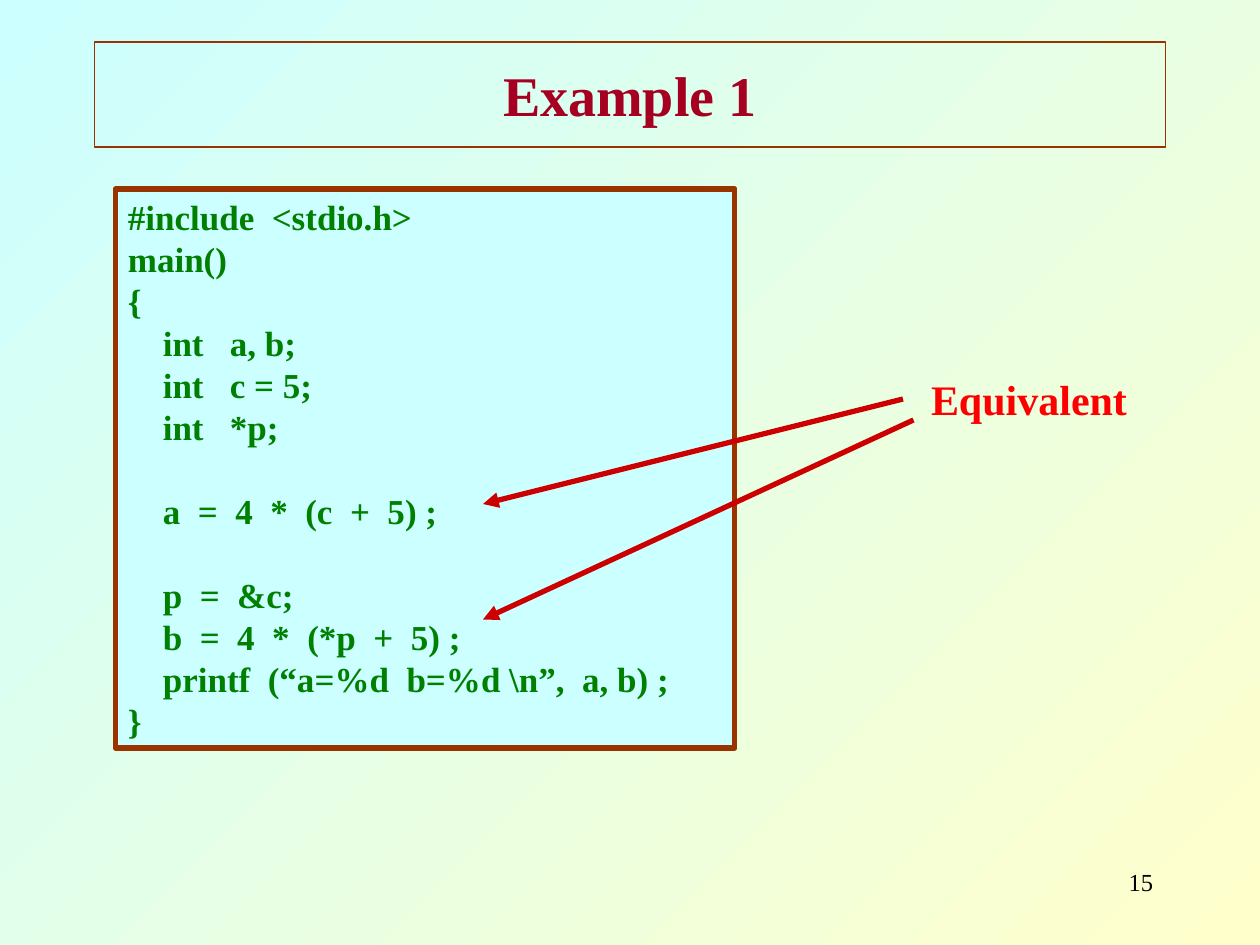
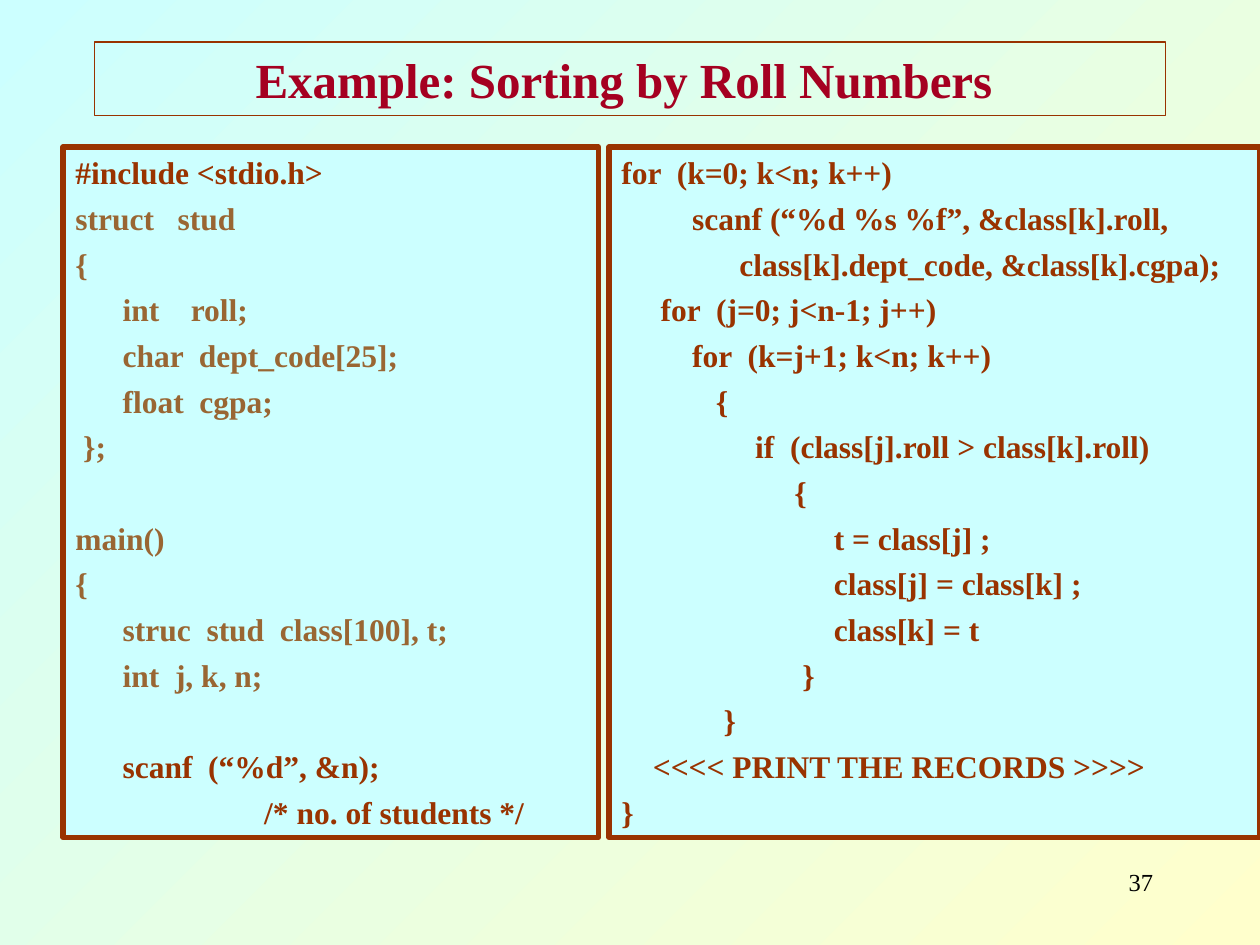
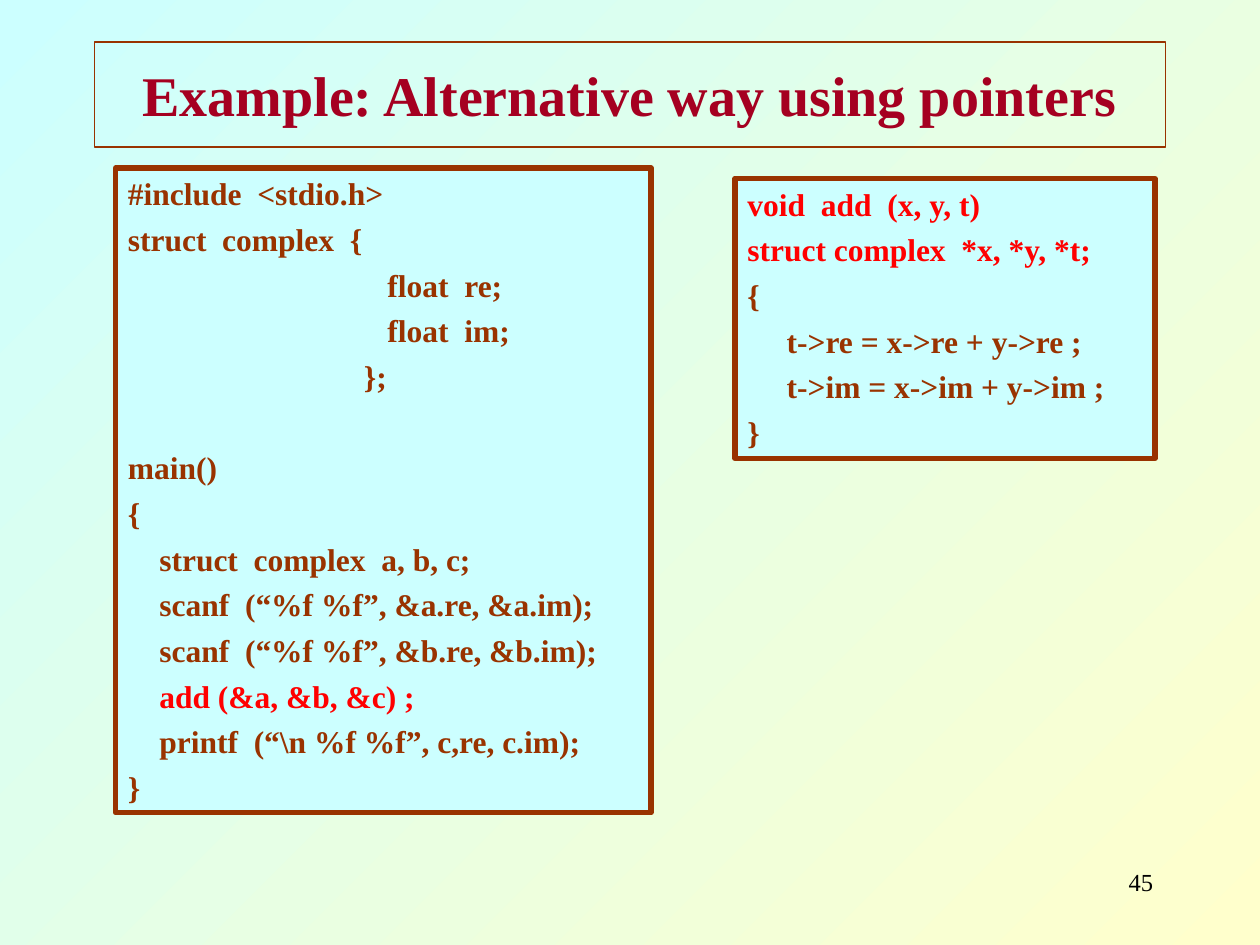
from pptx import Presentation
from pptx.dml.color import RGBColor
from pptx.enum.shapes import MSO_CONNECTOR, MSO_SHAPE
from pptx.enum.text import MSO_ANCHOR, MSO_AUTO_SIZE, PP_ALIGN
from pptx.oxml.ns import qn
from pptx.util import Pt
from lxml.etree import SubElement

FONT = "Times New Roman"
MAROON, BROWN, TAN = "A50021", "993300", "996633"
GREEN, RED, DARK_RED, BLACK = "008000", "FF0000", "CC0000", "000000"
AQUA, CREAM = "CCFFFF", "FFFFCC"
LINE_HEIGHT = 1.2

POINTER_CODE = r"""#include  <stdio.h>
main()
{
    int   a, b;
    int   c = 5;
    int   *p;

    a  =  4  *  (c  +  5) ;

    p  =  &c;
    b  =  4  *  (*p  +  5) ;
    printf  (“a=%d  b=%d \n”,  a, b) ;
}"""

STUDENT_CODE = """struct   stud
{
      int    roll;
      char  dept_code[25];
      float  cgpa;
 };

main()
{
      struc  stud  class[100], t;
      int  j, k, n;
"""

READ_COUNT_CODE = """      scanf  (“%d”, &n);
                        /* no. of students */"""

SORT_CODE = """for  (k=0; k<n; k++)
         scanf (“%d %s %f”, &class[k].roll,
               class[k].dept_code, &class[k].cgpa);
     for  (j=0; j<n-1; j++)
         for  (k=j+1; k<n; k++)
            {
                 if  (class[j].roll > class[k].roll)
                      {
                           t = class[j] ;
                           class[j] = class[k] ;
                           class[k] = t
                       }
             }
    <<<< PRINT THE RECORDS >>>>
}"""

COMPLEX_CODE = """#include  <stdio.h>
struct  complex  {
                                 float  re;
                                 float  im;
                              };

main()
{
    struct  complex  a, b, c;
    scanf  (“%f %f”, &a.re, &a.im);
    scanf  (“%f %f”, &b.re, &b.im);"""

PRINT_CODE = r"""    printf  (“\n %f %f”, c,re, c.im);
}"""

ADD_HEADER = """void  add  (x, y, t)
struct complex  *x, *y, *t;"""

ADD_BODY = """{
     t->re = x->re + y->re ;
     t->im = x->im + y->im ;
}"""


def rgb(color):
    return RGBColor.from_string(color)


def write(p, text, size=18, color=BROWN, bold=True, align=PP_ALIGN.LEFT, before=0):
    p.alignment = align
    p.space_before = Pt(before)
    r = p.add_run()
    r.text = text
    r.font.name, r.font.size, r.font.bold = FONT, Pt(size), bold
    r.font.color.rgb = rgb(color)


def add_frame(s, box, line_width, fill=None):
    """Add a brown-edged rectangle and return its text frame."""
    sp = s.shapes.add_shape(MSO_SHAPE.RECTANGLE, *map(Pt, box))
    sp.shadow.inherit = False
    sp.line.color.rgb = rgb(BROWN)
    sp.line.width = Pt(line_width)
    if fill:
        sp.fill.solid()
        sp.fill.fore_color.rgb = rgb(fill)
    else:
        sp.fill.background()
    sp.text_frame.word_wrap = True
    return sp.text_frame


def add_label(s, box, text, **fmt):
    tf = s.shapes.add_textbox(*map(Pt, box)).text_frame
    tf.word_wrap = True
    write(tf.paragraphs[0], text, **fmt)


def add_code(s, box, blocks, size=18, gap=4.5):
    """Set (colour, code) blocks one below the other; empty lines become space."""
    tf = add_frame(s, box, 3, AQUA)
    tf.vertical_anchor = MSO_ANCHOR.TOP
    tf.auto_size = MSO_AUTO_SIZE.SHAPE_TO_FIT_TEXT
    p, before = tf.paragraphs[0], 0
    for color, code in blocks:
        for line in code.split("\n"):
            if not line:
                before += size * LINE_HEIGHT + gap
                continue
            p = p or tf.add_paragraph()
            write(p, line, size=size, color=color, before=before)
            p, before = None, gap


def add_arrow(s, start, end):
    line = s.shapes.add_connector(MSO_CONNECTOR.STRAIGHT, *map(Pt, start + end))
    line.line.color.rgb = rgb(DARK_RED)
    line.line.width = Pt(3)
    SubElement(line.line._get_or_add_ln(), qn("a:tailEnd"), type="triangle")
    SubElement(line._element.spPr, qn("a:effectLst"))


def add_callout(s, box, text, targets):
    """Label with one arrow to each target, starting at the label's left side."""
    left, top = box[:2]
    add_label(s, box, text, size=24, color=RED, align=PP_ALIGN.CENTER)
    for i, target in enumerate(targets):
        add_arrow(s, (left + 12 + 6 * i, top + 18 + 12 * i), target)


def add_slide(prs, title, number, title_height=60, title_size=32):
    s = prs.slides.add_slide(prs.slide_layouts[6])
    fill = s.background.fill
    fill.gradient()
    fill.gradient_angle = 135
    for stop, color in zip(fill.gradient_stops, (CREAM, AQUA)):
        stop.color.rgb = rgb(color)
    tf = add_frame(s, (54, 24, 612, title_height), 0.75)
    tf.vertical_anchor = MSO_ANCHOR.MIDDLE
    write(tf.paragraphs[0], title, size=title_size, color=MAROON, align=PP_ALIGN.CENTER)
    add_label(s, (516, 492, 150, 36), str(number), size=14, color=BLACK,
              bold=False, align=PP_ALIGN.RIGHT)
    return s


def pointer_slide(prs):
    s = add_slide(prs, "Example 1", 15)
    add_code(s, (66, 108, 354, 319.5), [(GREEN, POINTER_CODE)], size=20, gap=0)
    add_callout(s, (504, 210, 168, 36), "Equivalent", [(276, 288), (276, 354)])


def sorting_slide(prs):
    s = add_slide(prs, "Example: Sorting by Roll Numbers ", 37, 42, 28)
    add_code(s, (36, 84, 306, 394.5), [
        (BROWN, "#include <stdio.h>"), (TAN, STUDENT_CODE), (BROWN, READ_COUNT_CODE)])
    add_code(s, (348, 84, 372, 394.5), [(BROWN, SORT_CODE)])


def complex_slide(prs):
    s = add_slide(prs, "Example: Alternative way using pointers", 45)
    add_code(s, (66, 96, 306, 368.5), [
        (BROWN, COMPLEX_CODE), (RED, "    add (&a, &b, &c) ;"), (BROWN, PRINT_CODE)])
    add_code(s, (420, 102, 240, 160), [(RED, ADD_HEADER), (BROWN, ADD_BODY)])


def main():
    prs = Presentation()
    prs.slide_width, prs.slide_height = Pt(720), Pt(540)
    pointer_slide(prs)
    sorting_slide(prs)
    complex_slide(prs)
    prs.save("out.pptx")


if __name__ == "__main__":
    main()
